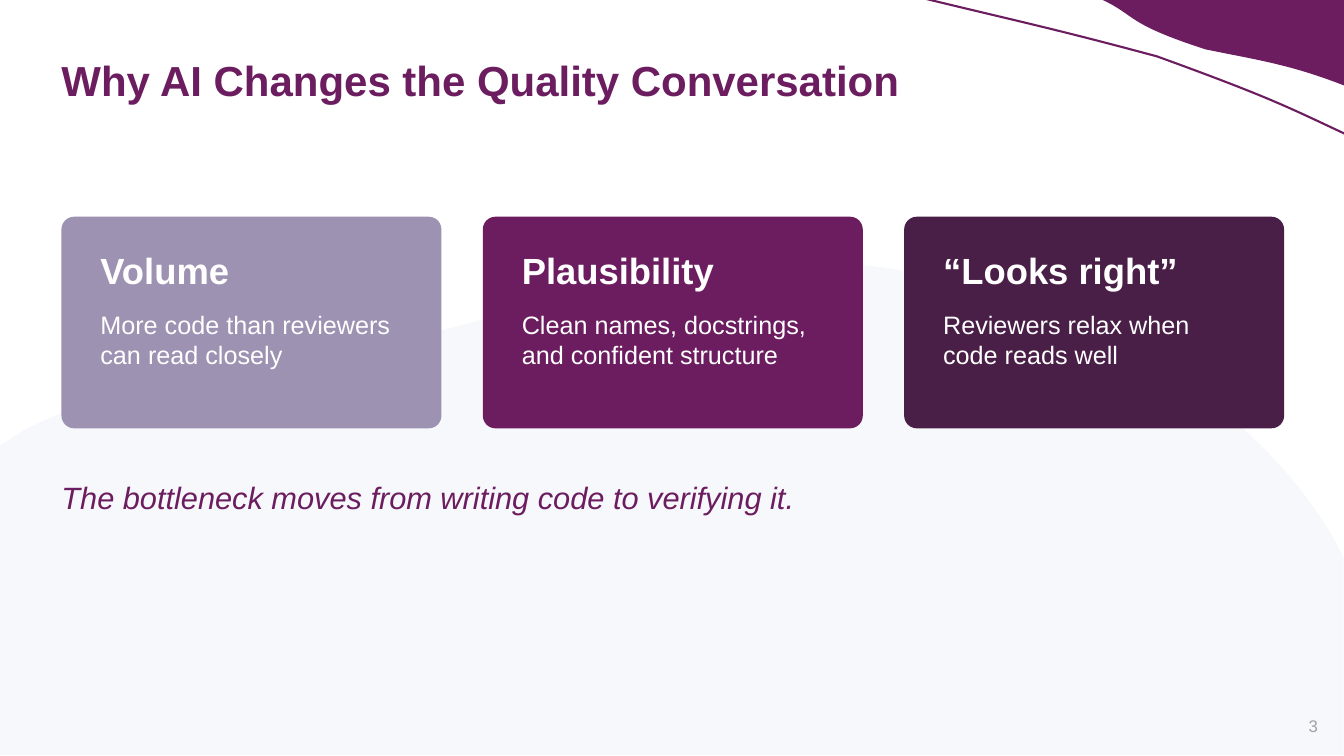
"""Build the slide on why AI changes the quality conversation."""
import pptx
import pptx.dml.color
import pptx.enum.shapes
import pptx.enum.text
import pptx.oxml.ns
import pptx.util

SCALE = 9144
PAGE_HEIGHT = 750
FONT = "Arial"
COLORS = {
    "plum": "6C1D5F",
    "lavender": "9D92B2",
    "aubergine": "491E47",
    "mist": "F7F8FC",
    "gray": "A1A1A1",
    "white": "FFFFFF",
}
HILL = [
    (774, 259),
    (794, 258, 814, 259, 835, 261),
    (1005, 274, 1223, 363, 1323, 534),
    (1333, 553),
    (1333, 749),
    (0, 749),
    (0, 442),
    (22, 428),
    (123, 374, 265, 365, 385, 340),
    (524, 311, 635, 261, 774, 259),
]
SWEEP = [
    (919, -1),
    (1014, 22, 1048, 29, 1148, 56),
    (1261, 97, 1277, 106, 1337, 134),
]
CORNER = [
    (1094, 0),
    (1334, 0),
    (1334, 28, 1334, 56, 1334, 85),
    (1280, 64, 1250, 60, 1196, 49),
    (1116, 23, 1128, 16, 1094, 0),
]
CARDS = [
    ("Volume", "More code than reviewers can read closely", "lavender"),
    ("Plausibility", "Clean names, docstrings, and confident structure", "plum"),
    ("“Looks right”", "Reviewers relax when code reads well", "aubergine"),
]
CARD_LEFT, CARD_TOP, CARD_WIDTH, CARD_HEIGHT = 61, 215, 377, 210
CARD_PITCH = 418


def px(value):
    """Turn px into EMU."""
    return pptx.util.Emu(round(value * SCALE))


def rgb(name):
    """Look up a named colour."""
    return pptx.dml.color.RGBColor.from_string(COLORS[name])


def write(para, text, *, size, color, bold=False, italic=False):
    """Add a formatted span of text to a paragraph."""
    span = para.add_run()
    span.text = text
    span.font.name = FONT
    span.font.size = pptx.util.Pt(size)
    span.font.bold = bold
    span.font.italic = italic
    span.font.color.rgb = rgb(color)


def set_margins(frame, across, down):
    """Set equal side margins and equal top and bottom margins."""
    frame.margin_left = frame.margin_right = px(across)
    frame.margin_top = frame.margin_bottom = px(down)


def add_text_box(page, left, top, width, height, text, **style):
    """Add a wrapped text box without margins and return its frame."""
    box = page.shapes.add_textbox(px(left), px(top), px(width), px(height))
    frame = box.text_frame
    frame.word_wrap = True
    set_margins(frame, 0, 0)
    write(frame.paragraphs[0], text, **style)
    return frame


def bend(shape, segments):
    """Merge the three straight steps of each curve into one cubic curve."""
    steps = shape.element.iter(pptx.oxml.ns.qn("a:lnTo"))
    steps = iter(list(steps))
    for segment in segments:
        curve = next(steps)
        if len(segment) == 6:
            curve.tag = pptx.oxml.ns.qn("a:cubicBezTo")
            for step in (next(steps), next(steps)):
                curve.append(step[0])
                step.getparent().remove(step)


def add_outline(page, outline, *, fill=None, line=None):
    """Add a filled closed shape or a stroked open curve."""
    start, *rest = [
        (px(segment[i]), px(segment[i + 1]))
        for segment in outline
        for i in range(0, len(segment), 2)
    ]
    builder = page.shapes.build_freeform(*start, scale=1.0)
    builder.add_line_segments(rest, close=fill is not None)
    shape = builder.convert_to_shape()
    bend(shape, outline[1:])
    shape.shadow.inherit = False
    if fill:
        shape.fill.solid()
        shape.fill.fore_color.rgb = rgb(fill)
    else:
        shape.fill.background()
    if line:
        shape.line.color.rgb = rgb(line)
        shape.line.width = pptx.util.Pt(1.5)
    else:
        shape.line.fill.background()


def add_card(page, left, heading, detail, fill):
    """Add a rounded card with a heading and a detail."""
    card = page.shapes.add_shape(
        pptx.enum.shapes.MSO_SHAPE.ROUNDED_RECTANGLE,
        px(left), px(CARD_TOP), px(CARD_WIDTH), px(CARD_HEIGHT),
    )
    card.adjustments[0] = 0.06
    card.shadow.inherit = False
    card.fill.solid()
    card.fill.fore_color.rgb = rgb(fill)
    card.line.fill.background()
    frame = card.text_frame
    frame.word_wrap = True
    frame.vertical_anchor = pptx.enum.text.MSO_ANCHOR.TOP
    set_margins(frame, 35, 28)
    first, second = frame.paragraphs[0], frame.add_paragraph()
    first.space_after = pptx.util.Pt(12)
    write(first, heading, size=26, color="white", bold=True)
    write(second, detail, size=18, color="white")
    for para in (first, second):
        para.alignment = pptx.enum.text.PP_ALIGN.LEFT


def main():
    """Build and save the deck."""
    deck = pptx.Presentation()
    deck.slide_width, deck.slide_height = px(PAGE_HEIGHT * 16 / 9), px(PAGE_HEIGHT)
    page = deck.slides.add_slide(deck.slide_layouts[6])
    add_outline(page, HILL, fill="mist")
    add_outline(page, SWEEP, line="plum")
    add_outline(page, CORNER, fill="plum")

    title = add_text_box(page, 61, 60, 1213, 124, "Why AI Changes the Quality Conversation",
                         size=30, color="plum", bold=True)
    title.paragraphs[0].line_spacing = 0.9
    number = add_text_box(page, 1273, 690, 60, 60, "3", size=12, color="gray")
    number.vertical_anchor = pptx.enum.text.MSO_ANCHOR.MIDDLE
    number.paragraphs[0].alignment = pptx.enum.text.PP_ALIGN.CENTER

    for index, (heading, detail, fill) in enumerate(CARDS):
        add_card(page, CARD_LEFT + index * CARD_PITCH, heading, detail, fill)
    add_text_box(page, 61, 475, 1210, 90,
                 "The bottleneck moves from writing code to verifying it.",
                 size=22, color="plum", italic=True)
    deck.save("out.pptx")


if __name__ == "__main__":
    main()
